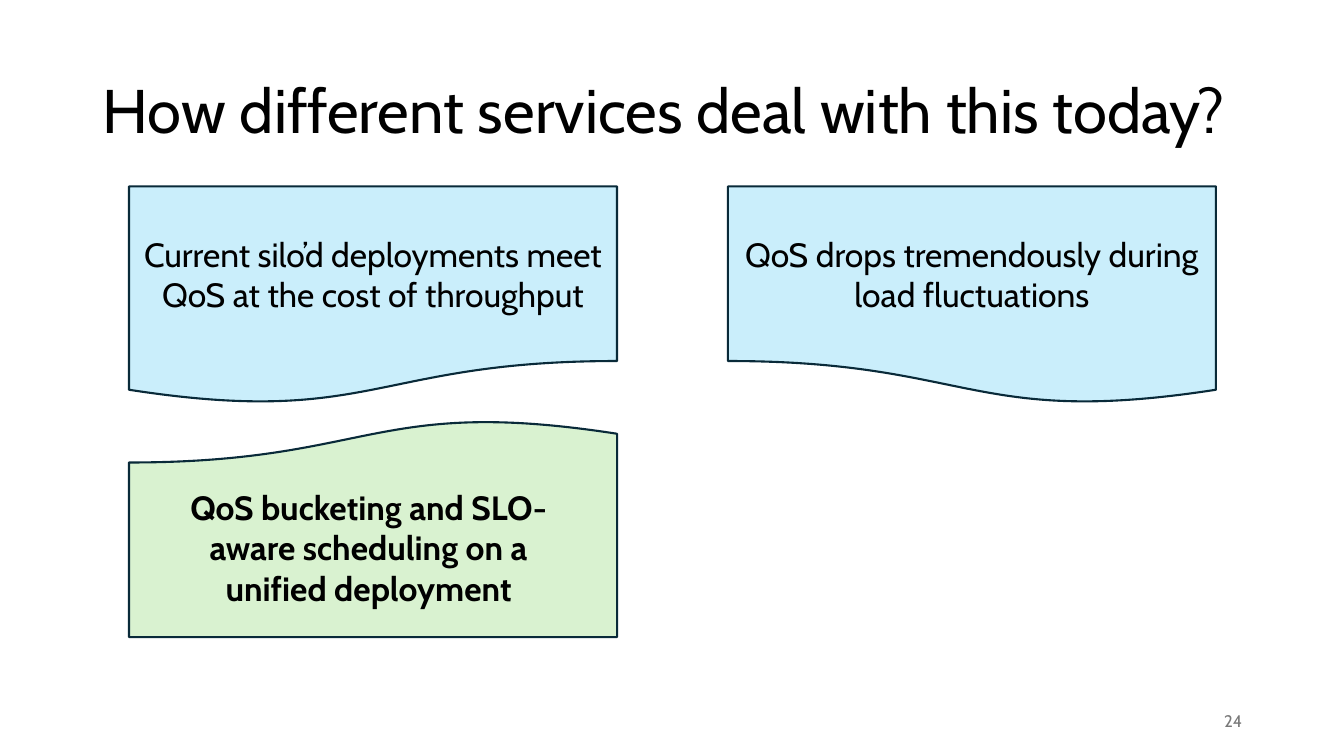
from pptx import Presentation
from pptx.dml.color import RGBColor
from pptx.enum.shapes import MSO_SHAPE
from pptx.enum.text import MSO_ANCHOR, PP_ALIGN
from pptx.oxml.ns import qn
from pptx.util import Inches, Pt

FONT = "Cabin"
BLACK, GREY, OUTLINE = "000000", "797979", "092A39"
BLUE, GREEN = "CAEEFB", "D9F2D0"
CARD_WIDTH, CARD_HEIGHT = 4.84, 2.16
LEFT_COLUMN, RIGHT_COLUMN = 1.28, 7.22
TOP_ROW, BOTTOM_ROW = 1.85, 4.16


def color(hex_string):
    return RGBColor.from_string(hex_string)


def write_text(shape, text, size=24, ink=BLACK, bold=False,
               align=PP_ALIGN.CENTER, anchor=MSO_ANCHOR.MIDDLE, line_spacing=None):
    frame = shape.text_frame
    frame.word_wrap = True
    frame.vertical_anchor = anchor
    paragraph = frame.paragraphs[0]
    paragraph.alignment = align
    if line_spacing:
        paragraph.line_spacing = line_spacing
    run = paragraph.add_run()
    run.text = text
    run.font.name = FONT
    run.font.size = Pt(size)
    run.font.bold = bold
    run.font.color.rgb = color(ink)


def add_text(shapes, box, text, **text_format):
    text_box = shapes.add_textbox(*map(Inches, box))
    write_text(text_box, text, **text_format)


def add_card(shapes, box, fill):
    """Draw an outlined card with a wavy bottom edge."""
    card = shapes.add_shape(MSO_SHAPE.FLOWCHART_DOCUMENT, *map(Inches, box))
    card.shadow.inherit = False
    card.fill.solid()
    card.fill.fore_color.rgb = color(fill)
    card.line.color.rgb = color(OUTLINE)
    card.line.width = Pt(1.5)
    return card


def add_problem(slide, box, text, mirrored=False):
    card = add_card(slide.shapes, box, BLUE)
    if mirrored:
        card.element.spPr.find(qn("a:xfrm")).set("flipH", "1")
    write_text(card, text)


def add_solution(slide, box, text):
    """Turn the card upside down and lay upright text over it."""
    left, top, width, height = box
    group = slide.shapes.add_group_shape()
    add_card(group.shapes, box, GREEN).rotation = 180
    text_area = (left + 0.27, top + 0.62, width - 0.63, height - 0.85)
    add_text(group.shapes, text_area, text, bold=True, anchor=MSO_ANCHOR.TOP)


def main():
    presentation = Presentation()
    presentation.slide_width = Inches(13.33)
    presentation.slide_height = Inches(7.5)
    slide = presentation.slides.add_slide(presentation.slide_layouts[6])

    # Title
    add_text(slide.shapes, (0.92, 0.4, 11.5, 1.45),
             "How different services deal with this today?",
             size=44, align=PP_ALIGN.LEFT, line_spacing=0.9)

    # Problems with current services
    add_problem(slide, (LEFT_COLUMN, TOP_ROW, CARD_WIDTH, CARD_HEIGHT),
                "Current silo’d deployments meet QoS at the cost of throughput")
    add_problem(slide, (RIGHT_COLUMN, TOP_ROW, CARD_WIDTH, CARD_HEIGHT),
                "QoS drops tremendously during load fluctuations", mirrored=True)

    # Proposed solution
    add_solution(slide, (LEFT_COLUMN, BOTTOM_ROW, CARD_WIDTH, CARD_HEIGHT),
                 "QoS bucketing and SLO-aware scheduling on a unified deployment")

    # Slide number
    add_text(slide.shapes, (9.42, 6.95, 3, 0.4), "24",
             size=12, ink=GREY, align=PP_ALIGN.RIGHT)

    presentation.save("out.pptx")


if __name__ == "__main__":
    main()
